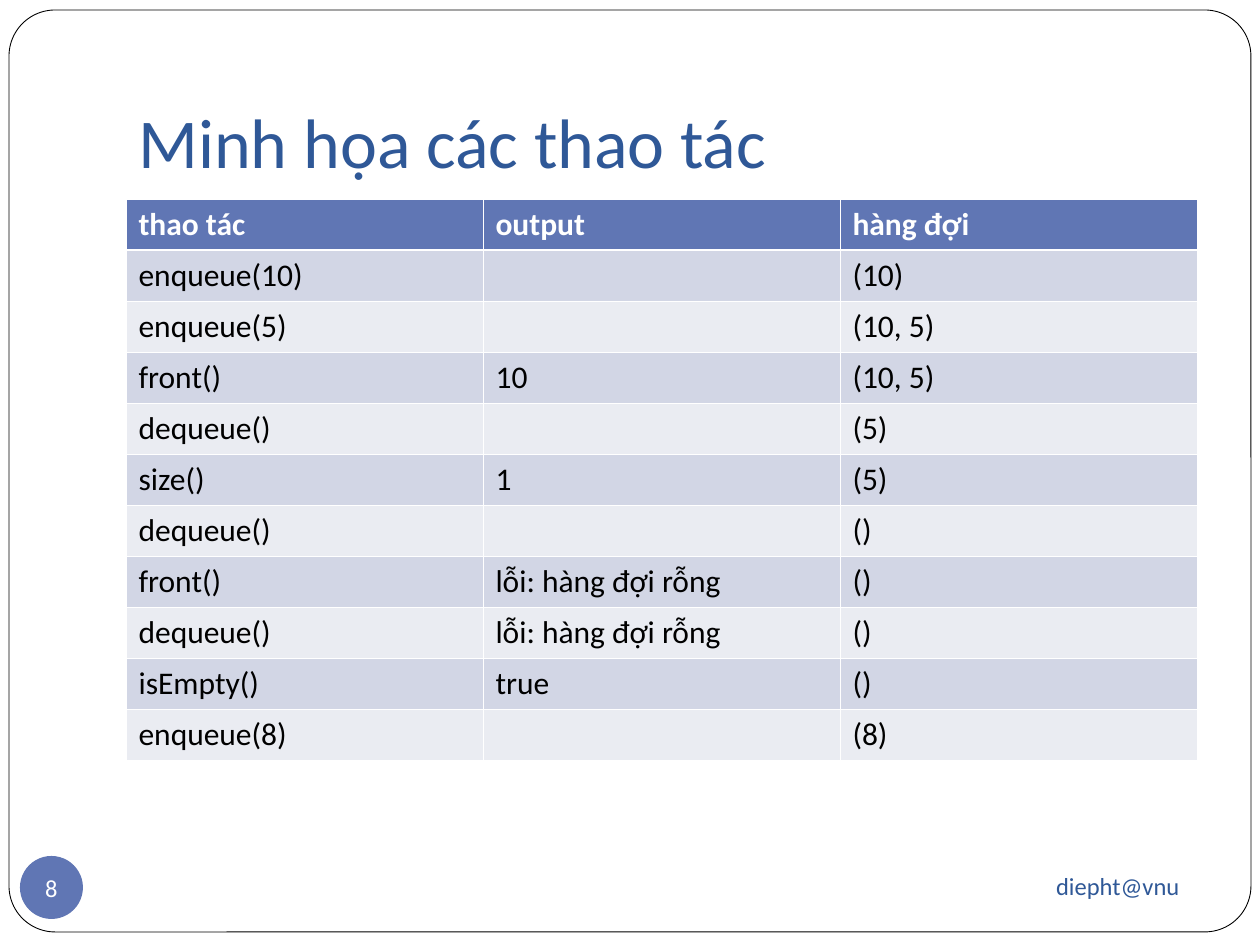
from lxml.etree import SubElement
from pptx import Presentation
from pptx.dml.color import RGBColor
from pptx.enum.shapes import MSO_SHAPE
from pptx.enum.text import MSO_ANCHOR, PP_ALIGN
from pptx.oxml.ns import qn
from pptx.util import Pt

SCALE = 914400 / 126  # EMU in one px
COLORS = {
    "white": "FFFFFF",
    "black": "000000",
    "title": "2F5897",
    "accent": "6076B4",
    "dark band": "D2D6E5",
    "light band": "EAECF2",
}


def px(*lengths):
    return [round(length * SCALE) for length in lengths]


def write(frame, text, size, color, align=PP_ALIGN.LEFT, bold=False):
    paragraph = frame.paragraphs[0]
    paragraph.alignment = align
    run = paragraph.add_run()
    run.text = text
    run.font.name = "Calibri"
    run.font.size = Pt(size)
    run.font.bold = bold
    run.font.color.rgb = RGBColor.from_string(COLORS[color])


presentation = Presentation()
presentation.slide_width, presentation.slide_height = px(1260, 945)
slide = presentation.slides.add_slide(presentation.slide_layouts[6])

# Rounded frame around the slide
border = slide.shapes.add_shape(MSO_SHAPE.ROUNDED_RECTANGLE, *px(9, 10, 1242, 922))
border.adjustments[0] = 0.05
border.shadow.inherit = False
border.fill.solid()
border.fill.fore_color.rgb = RGBColor.from_string(COLORS["white"])
border.line.color.rgb = RGBColor.from_string(COLORS["black"])
border.line.width = Pt(0.5)

# Title
title = slide.shapes.add_textbox(*px(126, 38, 1071, 157)).text_frame
title.word_wrap = True
title.vertical_anchor = MSO_ANCHOR.BOTTOM
title.margin_bottom = px(13)[0]
write(title, "Minh họa các thao tác", 40, "title")

# Footer
footer = slide.shapes.add_textbox(*px(851, 853, 341, 66)).text_frame
footer.word_wrap = True
footer.vertical_anchor = MSO_ANCHOR.MIDDLE
write(footer, "diepht@vnu", 14, "title", PP_ALIGN.RIGHT)

# Slide number badge
badge = slide.shapes.add_shape(MSO_SHAPE.OVAL, *px(20, 856, 63, 63))
badge.shadow.inherit = False
badge.fill.solid()
badge.fill.fore_color.rgb = RGBColor.from_string(COLORS["accent"])
badge.line.fill.background()
number = badge.text_frame
number.word_wrap = False
number.vertical_anchor = MSO_ANCHOR.MIDDLE
number.margin_left = number.margin_right = number.margin_top = number.margin_bottom = 0
write(number, "8", 14, "white", PP_ALIGN.CENTER)

# Table of queue operations
operations = [
    ("thao tác", "output", "hàng đợi"),
    ("enqueue(10)", "", "(10)"),
    ("enqueue(5)", "", "(10, 5)"),
    ("front()", "10", "(10, 5)"),
    ("dequeue()", "", "(5)"),
    ("size()", "1", "(5)"),
    ("dequeue()", "", "()"),
    ("front()", "lỗi: hàng đợi rỗng", "()"),
    ("dequeue()", "lỗi: hàng đợi rỗng", "()"),
    ("isEmpty()", "true", "()"),
    ("enqueue(8)", "", "(8)"),
]
ROW_HEIGHT, COLUMN_WIDTH = 51, 357
table = slide.shapes.add_table(
    len(operations), 3, *px(126, 199, 3 * COLUMN_WIDTH, len(operations) * ROW_HEIGHT)
).table
for column in table.columns:
    column.width = px(COLUMN_WIDTH)[0]

for row_index, values in enumerate(operations):
    table.rows[row_index].height = px(ROW_HEIGHT)[0]
    header = row_index == 0
    band = "accent" if header else "dark band" if row_index % 2 else "light band"
    for column_index, value in enumerate(values):
        cell = table.cell(row_index, column_index)
        if value:
            write(cell.text_frame, value, 18, "white" if header else "black", bold=header)

        # White cell borders, thicker below the header
        properties = cell._tc.get_or_add_tcPr()
        for side in ("lnL", "lnR", "lnT", "lnB"):
            thick = (row_index, side) in ((0, "lnB"), (1, "lnT"))
            line = SubElement(properties, qn(f"a:{side}"), w=str(Pt(1.47 if thick else 0.45)))
            fill = SubElement(line, qn("a:solidFill"))
            SubElement(fill, qn("a:srgbClr"), val=COLORS["white"])

        cell.fill.solid()
        cell.fill.fore_color.rgb = RGBColor.from_string(COLORS[band])

presentation.save("out.pptx")
